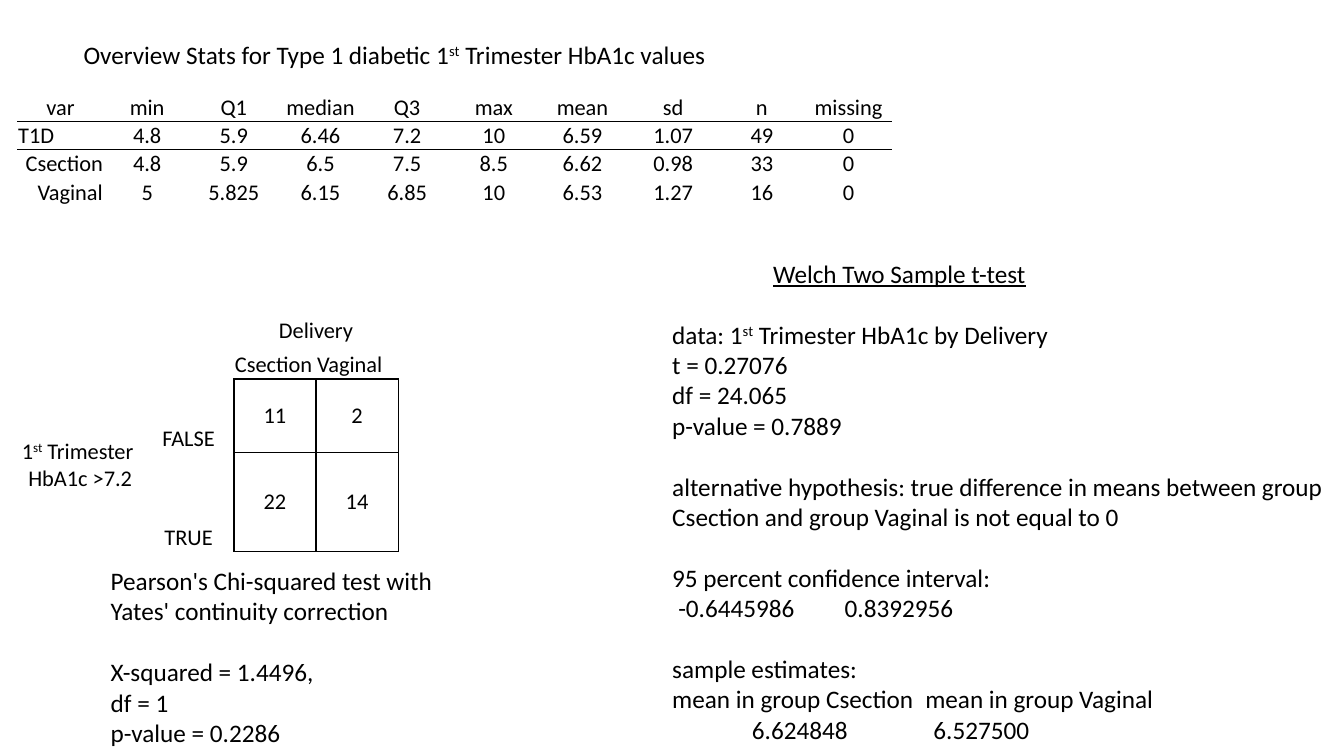
import lxml.etree
import pptx
import pptx.dml.color
import pptx.enum.text
import pptx.oxml.ns
import pptx.util
from dataclasses import dataclass

# Content: text between carets is raised
TITLE = "Overview Stats for Type 1 diabetic 1^st^ Trimester HbA1c values"

STATS = [
    ["var", "min", "Q1", "median", "Q3", "max", "mean", "sd", "n", "missing"],
    ["T1D", "4.8", "5.9", "6.46", "7.2", "10", "6.59", "1.07", "49", "0"],
    ["Csection", "4.8", "5.9", "6.5", "7.5", "8.5", "6.62", "0.98", "33", "0"],
    ["Vaginal", "5", "5.825", "6.15", "6.85", "10", "6.53", "1.27", "16", "0"],
]

DELIVERY = [
    ["", "", "Delivery", ""],
    ["", "", "Csection", "Vaginal"],
    ["1^st^ Trimester \nHbA1c >7.2", "FALSE", "11", "2"],
    ["", "TRUE", "22", "14"],
]

# Each group of lines is set one line apart from the next
CHI_SQUARED = [
    ["Pearson's Chi-squared test with \vYates' continuity correction"],
    ["X-squared = 1.4496,", "df = 1", "p-value = 0.2286"],
]

WELCH_HEADING = "\tWelch Two Sample t-test"
INTERVAL = "\t-0.6445986\t0.8392956"
GROUP_NAMES = "mean in group Csection\tmean in group Vaginal"
GROUP_MEANS = "\t6.624848\t6.527500"
WELCH = [
    [WELCH_HEADING],
    ["data: 1^st^ Trimester HbA1c by Delivery", "t = 0.27076", "df = 24.065",
     "p-value = 0.7889"],
    ["alternative hypothesis: true difference in means between group "
     "Csection and group Vaginal is not equal to 0"],
    ["95 percent confidence interval:", INTERVAL],
    ["sample estimates:", GROUP_NAMES, GROUP_MEANS],
]
# Tab stops in inches
TABS = {WELCH_HEADING: [1], INTERVAL: [0.06, 1.71], GROUP_NAMES: [2.51],
        GROUP_MEANS: [0.79, 2.59]}


@dataclass(frozen=True)
class Theme:
    font: str = "Calibri"
    ink: str = "000000"
    body: int = 18
    cell: int = 16
    line: int = 22
    thin: float = 0.5
    rule: float = 1


THEME = Theme()
ALIGN = pptx.enum.text.PP_ALIGN
ANCHOR = pptx.enum.text.MSO_ANCHOR

# Layout: left, top, width, height in percent of the slide
TITLE_AREA = (5.48, 4.53, 48.39, 5.33)
CHI_AREA = (7.5, 74.13, 26.4, 25.6)
WELCH_AREA = (49.28, 29.47, 50.03, 70)
TABLE_LEFT = 1.28
STATS_TOP, DELIVERY_TOP = 12.27, 41.07
STATS_COLUMNS = [6.45] * 6 + [6.75] * 2 + [6.45] * 2
STATS_ROWS = [3.73] * len(STATS)
DELIVERY_COLUMNS = [9.38, 6.75, 6.11, 6.11]
DELIVERY_ROWS = [4.53, 4.53, 9.73, 13.07]

deck = pptx.Presentation()
deck.slide_width = pptx.util.Inches(13.33)
deck.slide_height = pptx.util.Inches(7.5)
page = deck.slides.add_slide(deck.slide_layouts[6])


def across(percent):
    return round(deck.slide_width * percent / 100)


def down(percent):
    return round(deck.slide_height * percent / 100)


def add_child(parent, tag, **attributes):
    return lxml.etree.SubElement(parent, pptx.oxml.ns.qn(tag), attributes)


def write(para, text, size, underline=False):
    for place, part in enumerate(text.split("^")):
        for number, piece in enumerate(part.split("\v")):
            if number:
                para.add_line_break()
            span = para.add_run()
            span.text = piece
            span.font.name = THEME.font
            span.font.size = pptx.util.Pt(size)
            span.font.color.rgb = pptx.dml.color.RGBColor.from_string(THEME.ink)
            if underline:
                span.font.underline = True
            if place % 2:
                span.font._element.set("baseline", "30000")


def set_tabs(para, stops):
    tabs = add_child(para._p.get_or_add_pPr(), "a:tabLst")
    for stop in stops:
        add_child(tabs, "a:tab", pos=str(pptx.util.Inches(stop)), algn="l")


def add_text(area, groups, wrap=True):
    left, top, width, height = area
    box = page.shapes.add_textbox(across(left), down(top), across(width), down(height))
    frame = box.text_frame
    frame.word_wrap = wrap
    frame.auto_size = pptx.enum.text.MSO_AUTO_SIZE.SHAPE_TO_FIT_TEXT
    para = None
    for group in groups:
        for number, line in enumerate(group):
            opens_group = para is not None and number == 0
            para = frame.paragraphs[0] if para is None else frame.add_paragraph()
            if opens_group:
                para.space_before = pptx.util.Pt(THEME.line)
            if line in TABS:
                set_tabs(para, TABS[line])
            write(para, line, THEME.body, underline=line == WELCH_HEADING)
    return box


def add_border(cell, sides, points):
    for side in "LRTB":
        if side in sides:
            line = add_child(cell._tc.get_or_add_tcPr(), "a:ln" + side,
                             w=str(pptx.util.Pt(points)))
            add_child(add_child(line, "a:solidFill"), "a:srgbClr", val=THEME.ink)


def add_grid(top, columns, rows, values, style):
    """style(row, column) gives alignment, anchor, border sides and weight."""
    table = page.shapes.add_table(
        len(rows), len(columns), across(TABLE_LEFT), down(top),
        across(sum(columns)), down(sum(rows))).table
    table.first_row = table.horz_banding = False
    # Plain table style without grid lines
    table._tbl.tblPr.find(pptx.oxml.ns.qn("a:tableStyleId")).text = \
        "{2D5ABB26-0587-4C30-8999-92F81FD0307C}"
    for column, share in zip(table.columns, columns):
        column.width = across(share)
    for row, share in zip(table.rows, rows):
        row.height = down(share)
    for r, texts in enumerate(values):
        for c, text in enumerate(texts):
            cell = table.cell(r, c)
            align, anchor, sides, weight = style(r, c)
            cell.margin_left = cell.margin_right = pptx.util.Inches(0.01)
            cell.margin_top, cell.margin_bottom = pptx.util.Inches(0.01), 0
            cell.vertical_anchor = anchor
            add_border(cell, sides, weight)
            cell.fill.background()
            for number, line in enumerate(text.split("\n") if text else []):
                frame = cell.text_frame
                para = frame.add_paragraph() if number else frame.paragraphs[0]
                para.alignment = align
                write(para, line, THEME.cell)
    return table


def stats_style(r, c):
    align = ALIGN.CENTER
    if c == 0 and r:
        align = ALIGN.LEFT if r == 1 else ALIGN.RIGHT
    anchor = ANCHOR.BOTTOM if r == 0 or c == 0 else ANCHOR.MIDDLE
    return align, anchor, {0: "B", 1: "T"}.get(r, ""), THEME.thin


def delivery_style(r, c):
    counts = r >= 2 and c >= 2
    align = ALIGN.LEFT if r == 1 else ALIGN.CENTER
    anchor = ANCHOR.MIDDLE if counts or (r >= 2 and c == 0) else ANCHOR.BOTTOM
    sides = "LRTB" if counts else "B" if r == 1 and c >= 2 else \
        "R" if r >= 2 and c == 1 else ""
    return align, anchor, sides, THEME.rule


# Overview table and its title
add_grid(STATS_TOP, STATS_COLUMNS, STATS_ROWS, STATS, stats_style)
add_text(TITLE_AREA, [[TITLE]], wrap=False)

# Delivery counts with the chi-squared result
delivery = add_grid(DELIVERY_TOP, DELIVERY_COLUMNS, DELIVERY_ROWS, DELIVERY, delivery_style)
delivery.cell(0, 2).merge(delivery.cell(0, 3))
delivery.cell(2, 0).merge(delivery.cell(3, 0))
add_text(CHI_AREA, CHI_SQUARED)

# Welch test, starting one line below the top of its box
welch = add_text(WELCH_AREA, WELCH)
welch.text_frame.margin_top = pptx.util.Inches(0.35)

deck.save("out.pptx")
